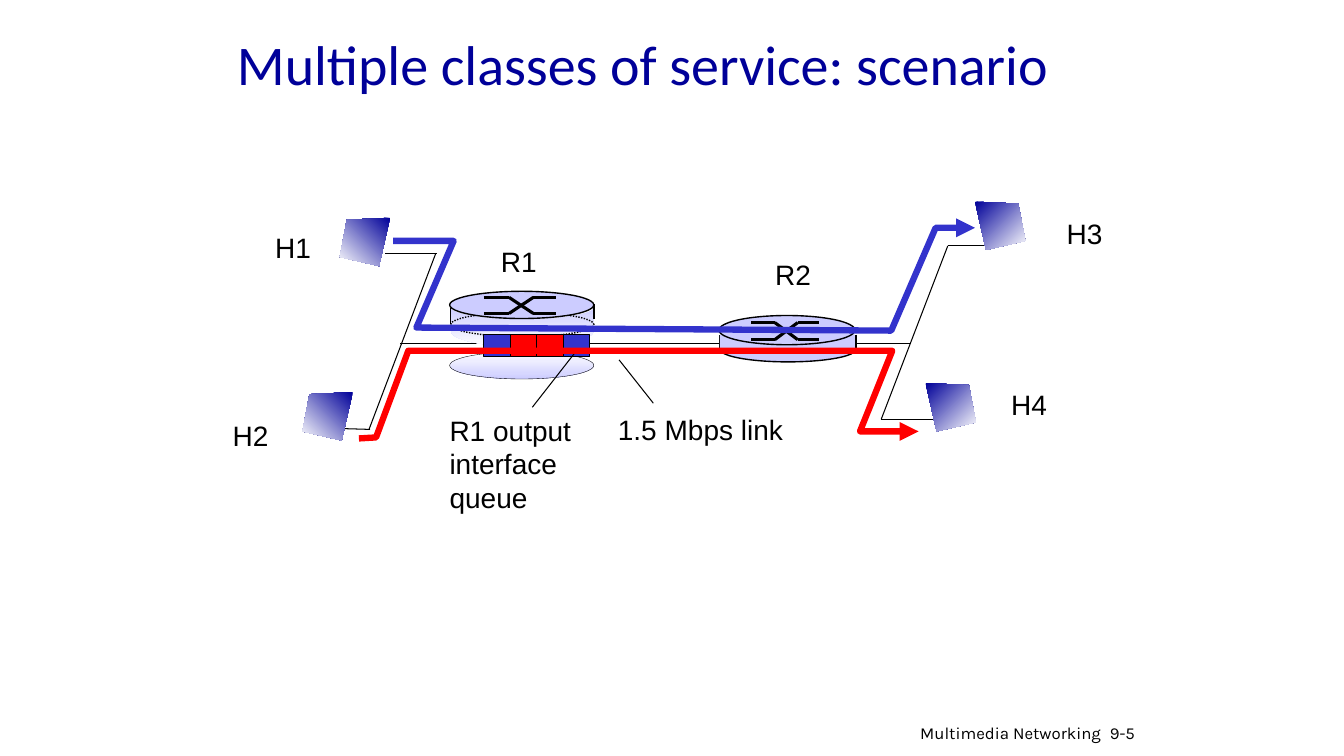
from dataclasses import dataclass
from math import cos, pi, sin

from pptx import Presentation
from pptx.dml.color import RGBColor
from pptx.enum.dml import MSO_LINE
from pptx.enum.shapes import MSO_CONNECTOR, MSO_SHAPE
from pptx.enum.text import MSO_ANCHOR, MSO_AUTO_SIZE, PP_ALIGN
from pptx.oxml import parse_xml
from pptx.oxml.ns import nsdecls, qn
from pptx.util import Inches, Pt

STRAIGHT = MSO_CONNECTOR.STRAIGHT
ELLIPSE, RECT = MSO_SHAPE.OVAL, MSO_SHAPE.RECTANGLE
DOTTED = MSO_LINE.ROUND_DOT
LEFT, RIGHT = PP_ALIGN.LEFT, PP_ALIGN.RIGHT
MIDDLE = MSO_ANCHOR.MIDDLE
NO_AUTOFIT = MSO_AUTO_SIZE.NONE


@dataclass(frozen=True)
class Theme:
    navy: str = "000099"
    blue: str = "3333CC"
    red: str = "FF0000"
    lavender: str = "CCCCFF"
    white: str = "FFFFFF"
    black: str = "000000"
    title_font: str = "Calibri"
    label_font: str = "Arial"
    footer_font: str = "Karla"
    title_size: int = 40
    label_size: int = 20
    footer_size: int = 12
    hairline: float = 0.75
    outline: float = 1
    cross: float = 2.25
    flow: float = 4.5


THEME = Theme()


def rgb(color):
    return RGBColor.from_string(color)


def set_font(p, name, size, color):
    p.font.name = name
    p.font.size = Pt(size)
    p.font.color.rgb = rgb(color)


def paint(sp, fill=None, angle=0, line=None, width=0):
    sp.shadow.inherit = False
    if fill is None:
        sp.fill.background()
    elif isinstance(fill, tuple):
        sp.fill.gradient()
        sp.fill.gradient_angle = angle
        for stop, color in zip(sp.fill.gradient_stops, fill):
            stop.color.rgb = rgb(color)
    else:
        sp.fill.solid()
        sp.fill.fore_color.rgb = rgb(fill)
    if line:
        sp.line.color.rgb = rgb(line)
        sp.line.width = Pt(width)
    else:
        sp.line.fill.background()


def add_title(s, text):
    sp = s.shapes.title
    sp.left, sp.top, sp.width, sp.height = map(Inches, (2.25, 0, 8.5, 1.25))
    tf = sp.text_frame
    tf.text = text
    tf.auto_size = NO_AUTOFIT
    tf.vertical_anchor = MIDDLE
    p = tf.paragraphs[0]
    p.alignment = LEFT
    set_font(p, THEME.title_font, THEME.title_size, THEME.navy)


def add_text(s, box, text, font=THEME.label_font, size=THEME.label_size,
             wrap=False, align=LEFT):
    tf = s.shapes.add_textbox(*map(Inches, box)).text_frame
    tf.word_wrap = wrap
    tf.text = text
    for p in tf.paragraphs:
        p.alignment = align
        set_font(p, font, size, THEME.black)


def add_shape(s, kind, box, **look):
    sp = s.shapes.add_shape(kind, *map(Inches, box))
    paint(sp, **look)
    return sp


def add_line(s, x1, y1, x2, y2, width=THEME.hairline):
    c = s.shapes.add_connector(STRAIGHT, *map(Inches, (x1, y1, x2, y2)))
    c.line.color.rgb = rgb(THEME.black)
    c.line.width = Pt(width)
    c._element.spPr.append(parse_xml(f"<a:effectLst {nsdecls('a')}/>"))


def add_outline(s, points, close=True, **look):
    start, *rest = [(Inches(x), Inches(y)) for x, y in points]
    builder = s.shapes.build_freeform(*start)
    builder.add_line_segments(rest, close=close)
    sp = builder.convert_to_shape()
    paint(sp, **look)
    return sp


def add_flow(s, points, color):
    sp = add_outline(s, points, close=False, line=color, width=THEME.flow)
    ln = sp._element.spPr.find(qn("a:ln"))
    ln.append(parse_xml(f'<a:tailEnd {nsdecls("a")} type="triangle"/>'))


def add_cross(s, left, top, width, height):
    x1, x2, right = left + 0.35 * width, left + 0.69 * width, left + width
    bottom = top + height
    for near, far in ((top, bottom), (bottom, top)):
        add_line(s, left, near, x1, near, THEME.cross)
        add_line(s, x1, near, x2, far, THEME.cross)
        add_line(s, x2, far, right, far, THEME.cross)


def add_router_top(s, box):
    add_shape(s, ELLIPSE, box, fill=THEME.lavender,
              line=THEME.black, width=THEME.outline)


def add_r1(s):
    steps = [pi * i / 24 for i in range(25)]
    upper = [(5.18 - 0.71 * cos(t), 3.05 + 0.12 * sin(t)) for t in steps]
    lower = [(5.18 + 0.71 * cos(t), 3.28 + 0.16 * sin(t)) for t in steps]
    add_outline(s, upper + lower, fill=(THEME.lavender, THEME.white), angle=270)
    rim = add_shape(s, ELLIPSE, (4.47, 3.1, 1.42, 0.24),
                    line=THEME.black, width=THEME.outline)
    rim.line.dash_style = DOTTED
    add_line(s, 4.47, 3.06, 4.47, 3.21, THEME.outline)
    add_line(s, 5.89, 3.02, 5.89, 3.16, THEME.outline)
    add_router_top(s, (4.46, 2.89, 1.43, 0.27))
    add_cross(s, 4.8, 2.95, 0.71, 0.16)
    add_shape(s, ELLIPSE, (4.46, 3.49, 1.43, 0.27), angle=270,
              fill=(THEME.white, THEME.lavender), line=THEME.black, width=0.25)


def add_queue(s):
    packets = (THEME.blue, THEME.red, THEME.red, THEME.blue)
    for i, color in enumerate(packets):
        add_shape(s, RECT, (4.8 + 0.263 * i, 3.32, 0.263, 0.22), fill=color,
                  line=THEME.black, width=THEME.hairline)


def add_r2(s):
    add_router_top(s, (7.14, 3.34, 1.35, 0.25))
    for x in (7.14, 8.49):
        add_line(s, x, 3.32, x, 3.47, THEME.outline)
    add_shape(s, RECT, (7.14, 3.32, 1.34, 0.15), fill=THEME.lavender)
    add_router_top(s, (7.13, 3.13, 1.35, 0.29))
    add_cross(s, 7.45, 3.2, 0.67, 0.17)


def add_host(s, x, y, facing):
    corners = ((0, 0), (0.43, 0.02), (0.5, 0.39), (0.11, 0.48))
    points = [(x + facing * dx, y + dy) for dx, dy in corners]
    add_outline(s, points, fill=(THEME.navy, THEME.white),
                angle=315 if facing > 0 else 225)


def main():
    prs = Presentation()
    prs.slide_width, prs.slide_height = Inches(13.33), Inches(7.5)
    s = prs.slides.add_slide(prs.slide_layouts[5])
    add_line(s, 3.97, 3.41, 9.03, 3.41)
    add_title(s, "Multiple classes of service: scenario")
    add_r1(s)
    add_queue(s)
    for ends in ((4.32, 2.52, 3.66, 4.26), (3.67, 4.26, 3.33, 4.25),
                 (4.33, 2.52, 3.82, 2.52), (9.4, 2.44, 8.74, 4.16),
                 (9.27, 4.16, 8.74, 4.16), (9.76, 2.44, 9.4, 2.44),
                 (6.14, 3.57, 6.48, 4), (5.71, 3.49, 5.28, 4.04)):
        add_line(s, *ends)
    add_r2(s)
    for text, x, y in (("R1", 4.87, 2.38), ("R2", 7.59, 2.51),
                       ("H1", 2.63, 2.24), ("H2", 2.21, 4.1),
                       ("H3", 10.48, 2.1), ("H4", 9.93, 3.8)):
        add_text(s, (x, y, 0.56, 0.44), text)
    add_text(s, (6.03, 4.04, 1.92, 0.44), "1.5 Mbps link")
    add_text(s, (4.36, 4.05, 1.49, 1.11), "R1 output\ninterface\nqueue")
    add_flow(s, ((3.9, 2.39), (4.5, 2.39), (4.13, 3.25),
                 (8.84, 3.28), (9.28, 2.26), (9.67, 2.26)), THEME.blue)
    add_flow(s, ((3.56, 4.35), (3.73, 4.34), (4.05, 3.48),
                 (8.85, 3.48), (8.53, 4.28), (9.11, 4.28)), THEME.red)
    for x, y, facing in ((3.5, 3.89, -1), (3.87, 2.16, -1),
                         (9.67, 2, 1), (9.18, 3.8, 1)):
        add_host(s, x, y, facing)
    for box, text, align in (
            ((10.91, 7.12, 0.75, 0.3), "9-5", LEFT),
            ((8.86, 7.12, 2.16, 0.28), "Multimedia Networking", RIGHT)):
        add_text(s, box, text, THEME.footer_font, THEME.footer_size, True, align)
    prs.save("out.pptx")


if __name__ == "__main__":
    main()
